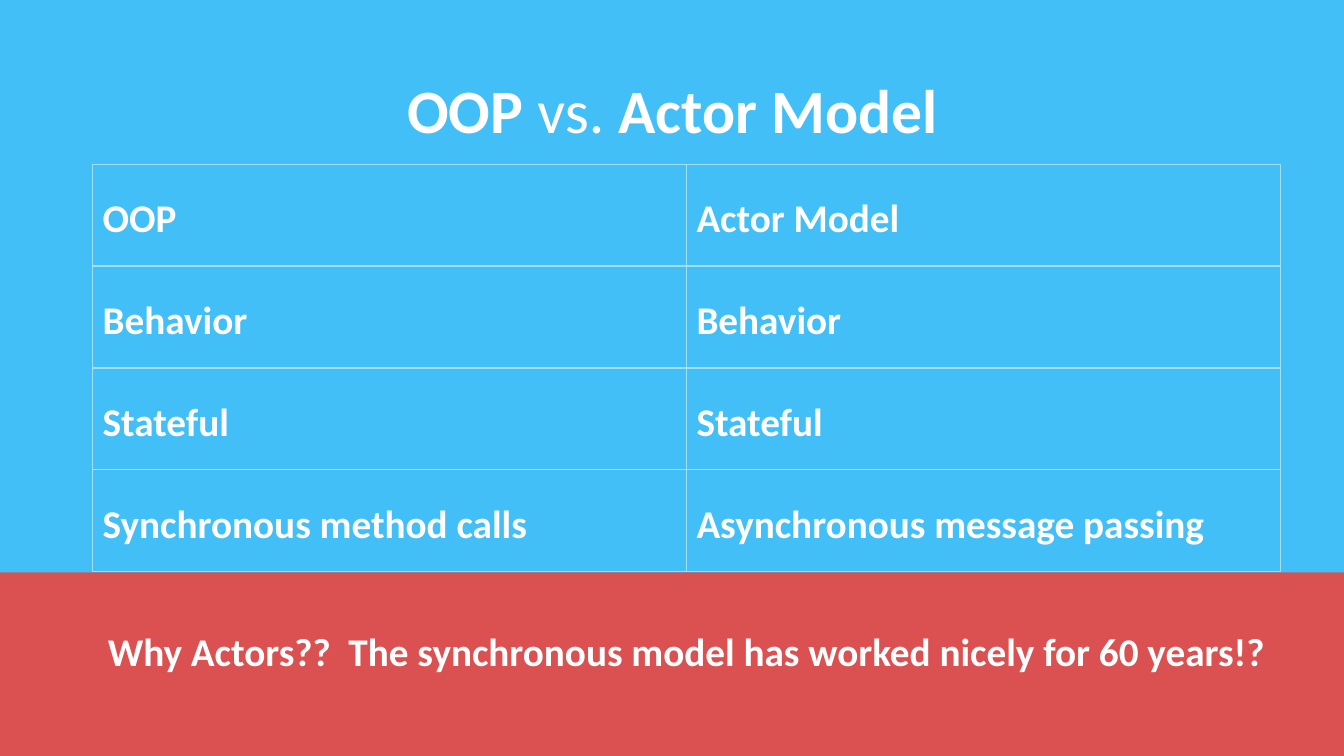
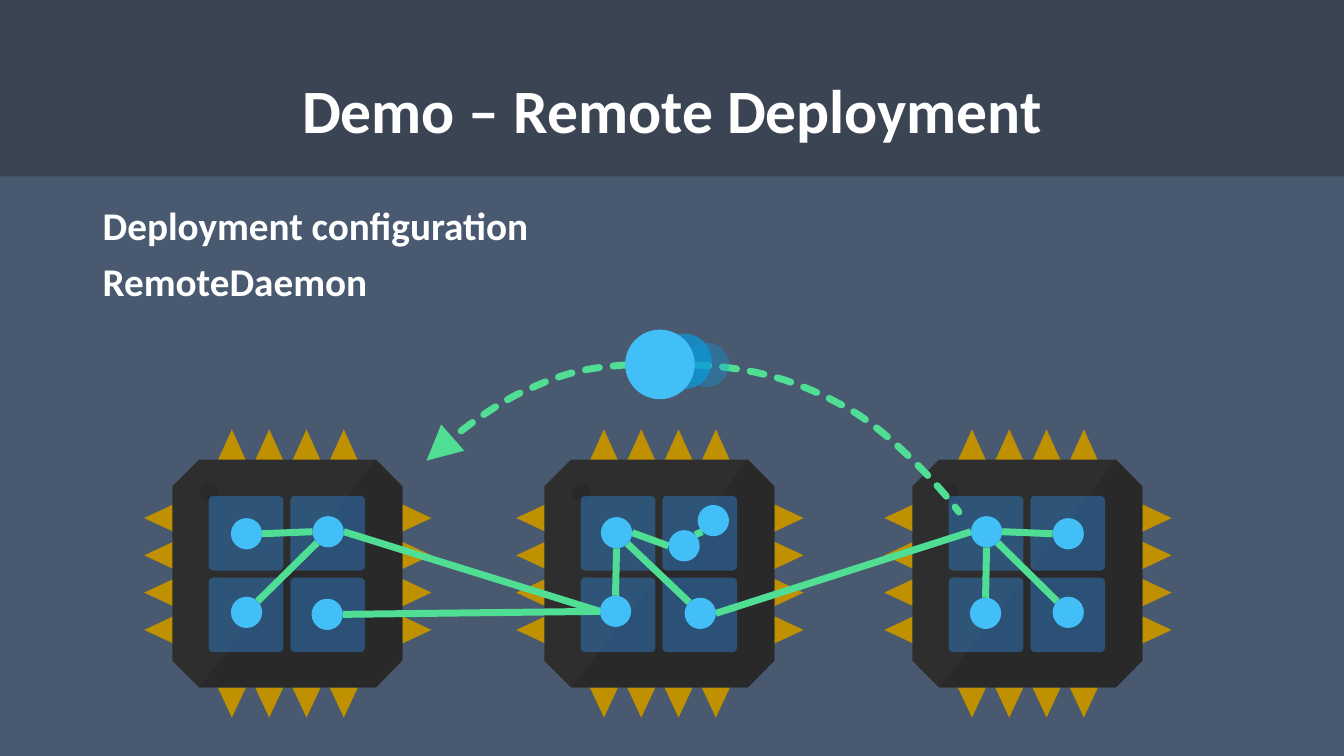
from math import hypot

from pptx import Presentation
from pptx.dml.color import RGBColor
from pptx.enum import dml, shapes, text
from pptx.oxml.ns import qn
from pptx.util import Inches, Pt
from lxml import etree

# Shared look
SKY = RGBColor(0x43, 0xBF, 0xF7)
PALE_SKY = RGBColor(0xA2, 0xDF, 0xFB)
DEEP_SKY = RGBColor(0x09, 0x9B, 0xDD)
RED = RGBColor(0xDB, 0x51, 0x51)
SLATE = RGBColor(0x48, 0x59, 0x70)
SHADE = RGBColor(0x26, 0x26, 0x26)
CHIP = RGBColor(0x2E, 0x2E, 0x2E)
CHIP_DARK = RGBColor(0x29, 0x29, 0x29)
CORE = RGBColor(0x2E, 0x75, 0xB6)
GOLD = RGBColor(0xBF, 0x90, 0x00)
GREEN = RGBColor(0x50, 0xDE, 0x94)
WHITE = RGBColor(0xFF, 0xFF, 0xFF)
FONT = "Calibri"
SLIDE_W, SLIDE_H = 13.33, 7.5
BODY_SIZE, TITLE_SIZE = 28, 44
SHAPE = shapes.MSO_SHAPE

# Actor dots: left, top
DOT = 0.31
ACTORS = {
    "a1": (2.29, 5.14), "a2": (3.1, 5.12), "a3": (2.29, 5.92), "a4": (3.09, 5.94),
    "b1": (5.96, 5.13), "b2": (6.92, 5.01), "b3": (6.63, 5.26), "b4": (5.95, 5.91),
    "b5": (6.79, 5.93),
    "c1": (9.63, 5.12), "c2": (10.44, 5.14), "c3": (9.62, 5.93), "c4": (10.44, 5.92),
}
SIDES = {"N": (0, -1), "S": (0, 1), "W": (-1, 0), "E": (1, 0),
         "NW": (-1, -1), "NE": (1, -1), "SW": (-1, 1), "SE": (1, 1)}
# Messages: actor and side at each end
LINKS = [
    ("c1", "W", "b5", "E"), ("b4", "W", "a2", "E"), ("b4", "W", "a4", "E"),
    ("b1", "S", "b4", "N"), ("a2", "W", "a1", "E"), ("a2", "SW", "a3", "NE"),
    ("c1", "S", "c3", "N"), ("c1", "SE", "c4", "NW"), ("b1", "SE", "b5", "NW"),
    ("c1", "E", "c2", "W"), ("b3", "W", "b1", "E"), ("b3", "NE", "b2", "SW"),
]


def new_slide(prs, color):
    s = prs.slides.add_slide(prs.slide_layouts[6])
    s.background.fill.solid()
    s.background.fill.fore_color.rgb = color
    return s


def add_run(p, words, size=BODY_SIZE, bold=True):
    r = p.add_run()
    r.text = words
    f = r.font
    f.name, f.size, f.bold, f.color.rgb = FONT, Pt(size), bold, WHITE


def add_text(s, box, paragraphs, size=BODY_SIZE, align=None, anchor=None,
             spacing=None, before=None):
    """Each paragraph is a list of (words, bold) runs."""
    tf = s.shapes.add_textbox(*map(Inches, box)).text_frame
    tf.word_wrap = True
    tf.vertical_anchor = anchor
    for i, runs in enumerate(paragraphs):
        p = tf.add_paragraph() if i else tf.paragraphs[0]
        p.alignment, p.line_spacing = align, spacing
        if before:
            p.space_before = Pt(before)
        for words, bold in runs:
            add_run(p, words, size, bold)


def add_title(s, runs):
    add_text(s, (0.92, 0.4, 11.5, 1.45), [runs], TITLE_SIZE,
             text.PP_ALIGN.CENTER, text.MSO_ANCHOR.MIDDLE, 0.9)


def paint(sp, color, alpha=None):
    sp.shadow.inherit = False
    sp.line.fill.background()
    sp.fill.solid()
    sp.fill.fore_color.rgb = color
    if alpha:
        clr = sp.element.spPr.find(".//" + qn("a:srgbClr"))
        etree.SubElement(clr, qn("a:alpha"), val=str(alpha * 1000))


def add_block(parent, kind, box, color, alpha=None, adj=None):
    sp = parent.shapes.add_shape(kind, *map(Inches, box))
    paint(sp, color, alpha)
    if adj is not None:
        sp.adjustments[0] = adj
    return sp


def add_outline(parent, contours, closed=True):
    emu = [[(Inches(x), Inches(y)) for x, y in c] for c in contours]
    fb = parent.shapes.build_freeform(*emu[0][0])
    for i, c in enumerate(emu):
        if i:
            fb.move_to(*c[0])
        fb.add_line_segments(c[1:], close=closed)
    return fb.convert_to_shape()


def add_link(s, start, end):
    cx = s.shapes.add_connector(shapes.MSO_CONNECTOR.STRAIGHT,
                                *map(Inches, (*start, *end)))
    cx.line.color.rgb, cx.line.width = GREEN, Pt(5)
    etree.SubElement(cx.element.spPr, qn("a:effectLst"))


def bezier(p0, p1, p2, p3, steps=24):
    points = []
    for i in range(steps + 1):
        t = i / steps
        weights = ((1 - t) ** 3, 3 * t * (1 - t) ** 2, 3 * t * t * (1 - t), t ** 3)
        points.append(tuple(sum(w * p[k] for w, p in zip(weights, (p0, p1, p2, p3)))
                            for k in (0, 1)))
    return points


def add_dashed_curve(s, knots, arrow=False):
    """Knots hold a start point, then three points for each cubic piece."""
    points = [knots[0]]
    for i in range(0, len(knots) - 1, 3):
        points += bezier(*knots[i:i + 4])[1:]
    sp = add_outline(s, [points], closed=False)
    sp.shadow.inherit = False
    sp.fill.background()
    sp.line.color.rgb, sp.line.width = GREEN, Pt(5)
    sp.line.dash_style = dml.MSO_LINE.SQUARE_DOT
    ln = sp.element.spPr.find(qn("a:ln"))
    ln.set("cap", "rnd")
    etree.SubElement(ln, qn("a:round"))
    if arrow:
        etree.SubElement(ln, qn("a:tailEnd"), type="triangle", w="lg", len="lg")


def add_tile(s, box, words):
    sp = add_block(s, SHAPE.RECTANGLE, box, SKY)
    sp.line.color.rgb, sp.line.width = PALE_SKY, Pt(1)
    tf = sp.text_frame
    tf.word_wrap = True
    tf.vertical_anchor = text.MSO_ANCHOR.MIDDLE
    tf.margin_top = Inches(0.09)
    p = tf.paragraphs[0]
    p.alignment = text.PP_ALIGN.LEFT
    add_run(p, words)


def add_tiles(s, left, top, col_w, row_h, rows):
    for i, row in enumerate(rows):
        for j, words in enumerate(row):
            add_tile(s, (left + j * col_w, top + i * row_h, col_w, row_h), words)


def add_chip(s, left):
    """A processor with four pins on each side and four cores."""
    g = s.shapes.add_group_shape()
    pins = []
    for i in range(4):
        x, y = left + 0.59 + 0.37 * i, 5.14 + 0.37 * i
        for base, tip in ((4.57, 4.26), (6.82, 7.12)):
            pins.append([(x - 0.14, base), (x + 0.14, base), (x, tip)])
        for base, tip in ((0.02, -0.28), (2.27, 2.57)):
            pins.append([(left + base, y - 0.14), (left + base, y + 0.14),
                         (left + tip, y)])
    paint(add_outline(g, pins), GOLD)
    add_block(g, SHAPE.OCTAGON, (left, 4.56, 2.28, 2.26), CHIP, adj=0.117)
    shade = [(0.27, 6.82), (2.02, 4.56), (2.28, 4.83), (2.28, 6.55), (2.02, 6.82)]
    paint(add_outline(g, [[(left + x, y) for x, y in shade]]), CHIP_DARK)
    add_block(g, SHAPE.OVAL, (left + 0.27, 4.79, 0.19, 0.19), CHIP_DARK)
    for row in range(2):
        for col in range(2):
            box = (left + 0.36 + 0.81 * col, 4.92 + 0.81 * row, 0.74, 0.74)
            add_block(g, SHAPE.ROUNDED_RECTANGLE, box, CORE, 55, 0.062)


def dot_edge(name, side):
    x, y = ACTORS[name]
    dx, dy = SIDES[side]
    reach = DOT / 2 / hypot(dx, dy)
    return x + DOT / 2 + dx * reach, y + DOT / 2 + dy * reach


def comparison_slide(prs):
    s = new_slide(prs, SKY)
    add_block(s, SHAPE.RECTANGLE, (0, 5.68, SLIDE_W, 1.83), RED)
    add_tiles(s, 0.92, 1.63, 5.89, 1.01, [
        ("OOP", "Actor Model"),
        ("Behavior", "Behavior"),
        ("Stateful", "Stateful"),
        ("Synchronous method calls", "Asynchronous message passing"),
    ])
    add_title(s, [("OOP ", True), ("vs. ", False), ("Actor Model", True)])
    question = "Why Actors??  The synchronous model has worked nicely for 60 years!?"
    add_text(s, (0.14, 6.17, SLIDE_W, 0.57), [[(question, True)]],
             align=text.PP_ALIGN.CENTER)


def deployment_slide(prs):
    s = new_slide(prs, SLATE)
    add_block(s, SHAPE.ROUNDED_RECTANGLE, (0, 0, SLIDE_W, 1.75), SHADE, 40, 0)
    add_title(s, [("Demo – Remote Deployment", True)])
    add_text(s, (0.92, 2, 11.5, 1.85),
             [[("Deployment configuration", True)], [("RemoteDaemon", True)]],
             spacing=0.9, before=10)
    # Chips and the actor network across them
    for left in (9.05, 5.4, 1.71):
        add_chip(s, left)
    for a, a_side, b, b_side in LINKS:
        add_link(s, dot_edge(a, a_side), dot_edge(b, b_side))
    for x, y in ACTORS.values():
        add_block(s, SHAPE.OVAL, (x, y, DOT, DOT), SKY)
    # Actor moving from the right chip to the left one
    add_dashed_curve(s, [(6.89, 3.62), (7.54, 3.65), (7.95, 3.8), (8.39, 4.04),
                         (8.83, 4.28), (9.36, 4.87), (9.51, 5.08)])
    add_dashed_curve(s, [(6.22, 3.62), (5.77, 3.65), (5.58, 3.71), (5.22, 3.87),
                         (4.86, 4.03), (4.41, 4.39), (4.23, 4.57)], arrow=True)
    for x, y, size, color, alpha in ((6.79, 3.4, 0.44, DEEP_SKY, 35),
                                     (6.51, 3.31, 0.55, DEEP_SKY, 70),
                                     (6.2, 3.27, 0.69, SKY, None)):
        add_block(s, SHAPE.OVAL, (x, y, size, size), color, alpha)


def main():
    prs = Presentation()
    prs.slide_width, prs.slide_height = Inches(SLIDE_W), Inches(SLIDE_H)
    comparison_slide(prs)
    deployment_slide(prs)
    prs.save("out.pptx")


main()
